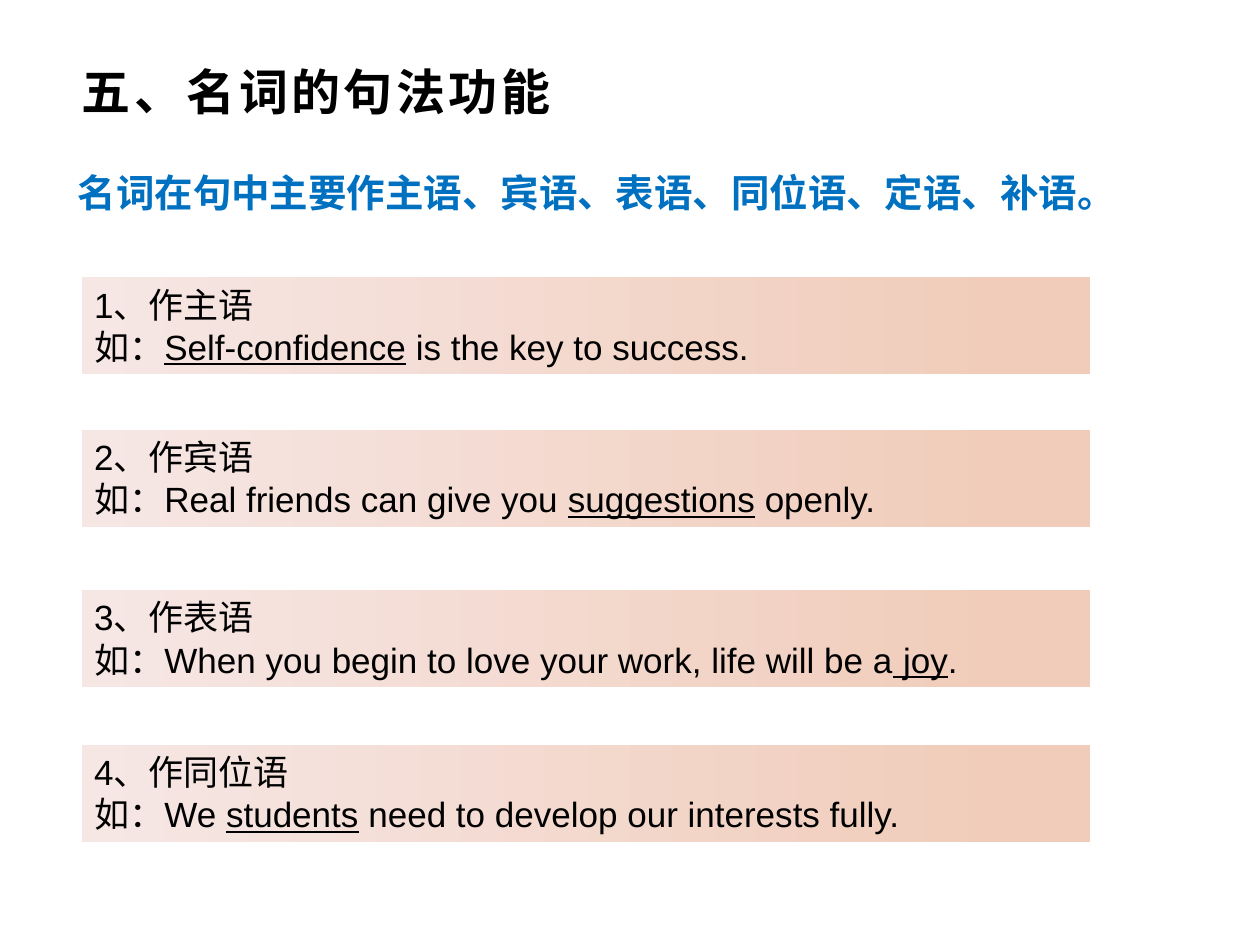
"""Build the slide on the syntactic functions of nouns."""
import dataclasses

import pptx
import pptx.dml.color
import pptx.enum.shapes
import pptx.enum.text
import pptx.util

Cm, Pt = pptx.util.Cm, pptx.util.Pt
RGB = pptx.dml.color.RGBColor.from_string
ANCHOR = pptx.enum.text.MSO_ANCHOR


@dataclasses.dataclass(frozen=True)
class Theme:
    font: str = "Arial"
    ink: str = "000000"
    accent: str = "0070C0"
    gradient: tuple = ((0, "F6E7E5"), (0.92, "F1CCBA"))
    title: int = 28
    summary: int = 22
    body: int = 20


THEME = Theme()
EXAMPLES = [
    (5.59, "1、作主语", ("如：", "Self-confidence", " is the key to success.")),
    (8.66, "2、作宾语", ("如：Real friends can give you ", "suggestions", " openly.")),
    (11.89, "3、作表语", ("如：When you begin to love your work, life will be a", " joy", ".")),
    (15.01, "4、作同位语", ("如：We ", "students", " need to develop our interests fully.")),
]


def apply(obj, values):
    for name, value in values.items():
        setattr(obj, name, value)


def add_run(p, text, size, color=THEME.ink, **values):
    r = p.add_run()
    r.text = text
    apply(r.font, {"name": THEME.font, "size": Pt(size), **values})
    r.font.color.rgb = RGB(color)
    return r


def add_heading(s, box, text, size, color, anchor):
    sp = s.shapes.add_textbox(*map(Cm, box))
    tf = sp.text_frame
    apply(tf, {"word_wrap": True, "vertical_anchor": anchor})
    return add_run(tf.paragraphs[0], text, size, color, bold=True)


def add_example(s, top, label, parts):
    sp = s.shapes.add_shape(pptx.enum.shapes.MSO_SHAPE.RECTANGLE,
                            Cm(1.65), Cm(top), Cm(20.32), Cm(1.96))
    sp.shadow.inherit = False
    sp.line.fill.background()
    sp.fill.gradient()
    sp.fill.gradient_angle = 0
    for stop, (position, color) in zip(sp.fill.gradient_stops, THEME.gradient):
        stop.position = position
        stop.color.rgb = RGB(color)
    tf = sp.text_frame
    apply(tf, {"word_wrap": True, "vertical_anchor": ANCHOR.TOP})
    for p, texts in ((tf.paragraphs[0], [label]), (tf.add_paragraph(), parts)):
        p.alignment = pptx.enum.text.PP_ALIGN.LEFT
        for i, text in enumerate(texts):
            add_run(p, text, THEME.body, underline=i == 1)


def main():
    prs = pptx.Presentation()
    apply(prs, {"slide_width": Cm(25.4), "slide_height": Cm(19.05)})
    s = prs.slides.add_slide(prs.slide_layouts[6])
    r = add_heading(s, (1.4, 1.22, 22.6, 1.22), "五、名词的句法功能",
                    THEME.title, THEME.ink, ANCHOR.MIDDLE)
    r.font._element.set("spc", "200")
    add_heading(s, (1.32, 3.28, 22.73, 1.19),
                "名词在句中主要作主语、宾语、表语、同位语、定语、补语。",
                THEME.summary, THEME.accent, ANCHOR.TOP)
    for example in EXAMPLES:
        add_example(s, *example)
    prs.save("out.pptx")


if __name__ == "__main__":
    main()
